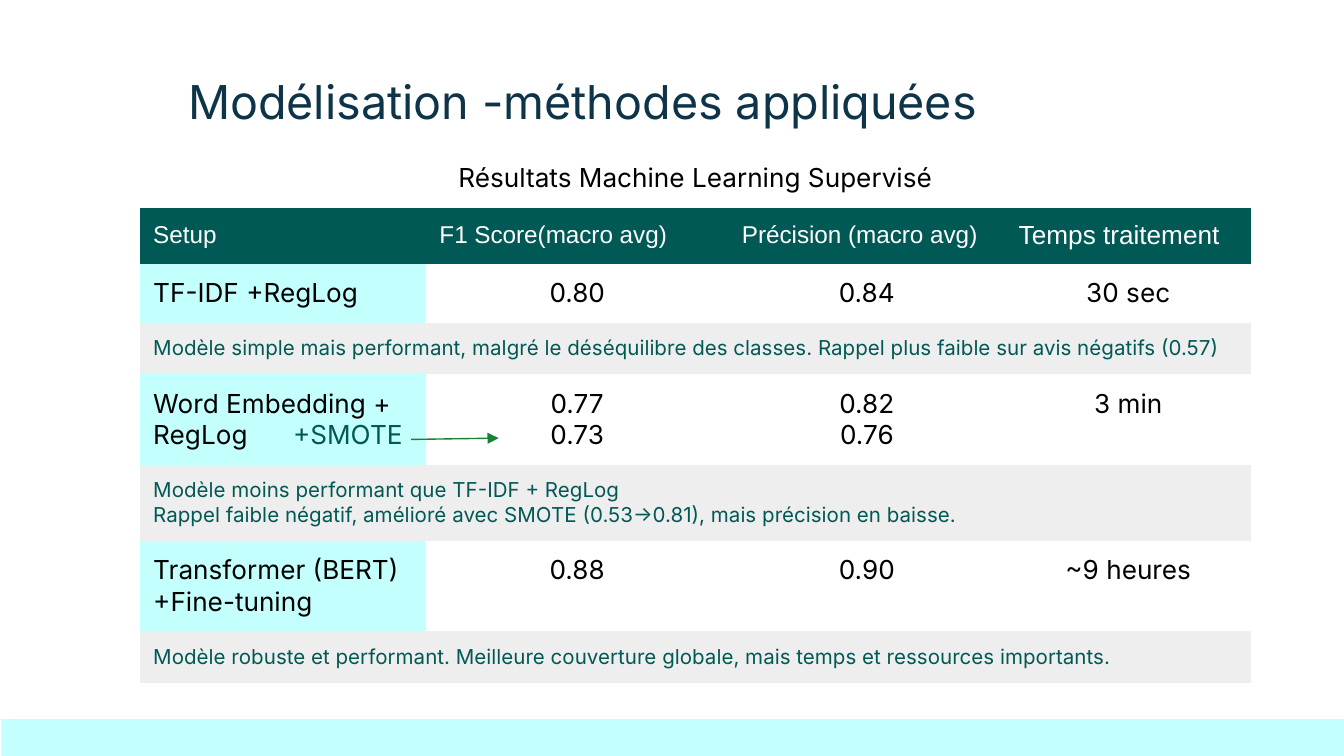
import pptx
import pptx.util
import pptx.dml.color
import pptx.enum.shapes
import pptx.enum.text
import lxml.etree

INK = {"navy": "0E3449", "teal": "015955", "aqua": "C3FFFC", "grey": "EEEEEE",
       "white": "FFFFFF", "black": "000000", "green": "188038"}
WIDE = 10
HIGH = WIDE * 9 / 16
MARGIN = 0.1

TITLE = "Modélisation -méthodes appliquées"
HEADS = ["Setup", "F1 Score(macro avg)", "Précision (macro avg)", "Temps traitement"]
COLS = [2.13, 2.25, 2.06, 1.83]

# Each row: kind, height, cells; each cell is a list of lines.
# A line is a string, or a list of (text, colour) runs.
ROWS = [
    ("caption", 0.40, [["Résultats Machine Learning Supervisé"]]),
    ("head", 0.42, [[head] for head in HEADS]),
    ("model", 0.42, [["TF-IDF +RegLog"], ["0.80"], ["0.84"], ["30 sec"]]),
    ("note", 0.35, [["Modèle simple mais performant, malgré le déséquilibre des classes. "
                     "Rappel plus faible sur avis négatifs (0.57)"]]),
    ("model", 0.62, [["Word Embedding +", [("RegLog\t", "black"), ("+SMOTE", "teal")]],
                     ["0.77", "0.73"], ["0.82", "0.76"], ["3 min"]]),
    ("note", 0.33, [["Modèle moins performant que TF-IDF + RegLog",
                     "Rappel faible négatif, amélioré avec SMOTE (0.53->0.81), "
                     "mais précision en baisse."]]),
    ("model", 0.62, [["Transformer (BERT) +Fine-tuning"], ["0.88"], ["0.90"], ["~9 heures"]]),
    ("note", 0.36, [["Modèle robuste et performant. Meilleure couverture globale, "
                     "mais temps et ressources importants."]]),
]
# Kind: font, size, text colour, fill
LOOKS = {
    "caption": ("Inter", 14, "black", None),
    "head": ("Arial", 13, "white", "teal"),
    "model": ("Inter", 14, "black", None),
    "note": ("Inter", 11, "teal", "grey"),
}
TAB = 1.04

inch = pptx.util.Inches
ALIGN = pptx.enum.text.PP_ALIGN
ANCHOR = pptx.enum.text.MSO_ANCHOR


def color(name):
    return pptx.dml.color.RGBColor.from_string(INK[name])


def write(para, text, font, size, ink):
    run = para.add_run()
    run.text = text
    run.font.name = font
    run.font.size = pptx.util.Pt(size)
    run.font.color.rgb = color(ink)


def sub(parent, tag, **attrs):
    """Append a DrawingML element."""
    name = pptx.oxml.ns.qn("a:" + tag)
    return lxml.etree.SubElement(parent, name, attrs)


def pad(box):
    box.margin_left = box.margin_right = inch(MARGIN)
    box.margin_top = box.margin_bottom = inch(MARGIN)
    box.vertical_anchor = ANCHOR.TOP


def fill_cell(cell, lines, look, align):
    font, size, ink, fill = look
    pad(cell)
    if fill:
        cell.fill.solid()
        cell.fill.fore_color.rgb = color(fill)
    else:
        cell.fill.background()
    frame = cell.text_frame
    for i, line in enumerate(lines):
        para = frame.add_paragraph() if i else frame.paragraphs[0]
        para.alignment = align
        runs = [(line, ink)] if isinstance(line, str) else line
        for text, tint in runs:
            write(para, text, font, size, tint)
        if "\t" in runs[0][0]:
            tabs = sub(para._p.get_or_add_pPr(), "tabLst")
            sub(tabs, "tab", pos=str(inch(TAB)), algn="l")


def add_title(slide):
    title = slide.shapes.title
    title.left, title.top = inch(1.3), inch(0.44)
    title.width, title.height = inch(6.37), inch(0.58)
    frame = title.text_frame
    pad(frame)
    frame.word_wrap = True
    para = frame.paragraphs[0]
    para.alignment = ALIGN.LEFT
    write(para, TITLE, "Inter", 25, "navy")


def add_band(slide):
    band = slide.shapes.add_shape(
        pptx.enum.shapes.MSO_SHAPE.RECTANGLE,
        inch(0.01), inch(5.35), inch(WIDE), inch(HIGH - 5.35))
    band.shadow.inherit = False
    band.fill.solid()
    band.fill.fore_color.rgb = color("aqua")
    band.line.fill.background()


def add_grid(slide):
    high = sum(row[1] for row in ROWS)
    frame = slide.shapes.add_table(len(ROWS), len(COLS), inch(1.04), inch(1.11),
                                   inch(sum(COLS)), inch(high))
    table = frame.table
    table.first_row = table.horz_banding = False
    # "No Style, No Grid"
    style = table._tbl.tblPr.find(pptx.oxml.ns.qn("a:tableStyleId"))
    style.text = "{2D5ABB26-0587-4C30-8999-92F81FD0307C}"
    for col, width in zip(table.columns, COLS):
        col.width = inch(width)
    for r, (kind, height, cells) in enumerate(ROWS):
        table.rows[r].height = inch(height)
        if len(cells) == 1:
            table.cell(r, 0).merge(table.cell(r, len(COLS) - 1))
        for c, lines in enumerate(cells):
            font, size, ink, fill = LOOKS[kind]
            if kind == "model" and c == 0:
                fill = "aqua"
            if kind == "head" and c == len(COLS) - 1:
                size = 14
            mid = kind == "caption" or (kind == "model" and c > 0)
            fill_cell(table.cell(r, c), lines, (font, size, ink, fill),
                      ALIGN.CENTER if mid else ALIGN.LEFT)


def add_arrow(slide):
    arrow = slide.shapes.add_connector(
        pptx.enum.shapes.MSO_CONNECTOR.STRAIGHT,
        inch(3.06), inch(3.27), inch(3.71), inch(3.26))
    arrow.line.color.rgb = color("green")
    arrow.line.width = pptx.util.Pt(0.75)
    sub(arrow.line._get_or_add_ln(), "tailEnd", type="triangle")
    sub(arrow._element.spPr, "effectLst")


def main():
    deck = pptx.Presentation()
    deck.slide_width, deck.slide_height = inch(WIDE), inch(HIGH)
    slide = deck.slides.add_slide(deck.slide_layouts[5])
    add_title(slide)
    add_band(slide)
    add_grid(slide)
    add_arrow(slide)
    deck.save("out.pptx")


if __name__ == "__main__":
    main()
